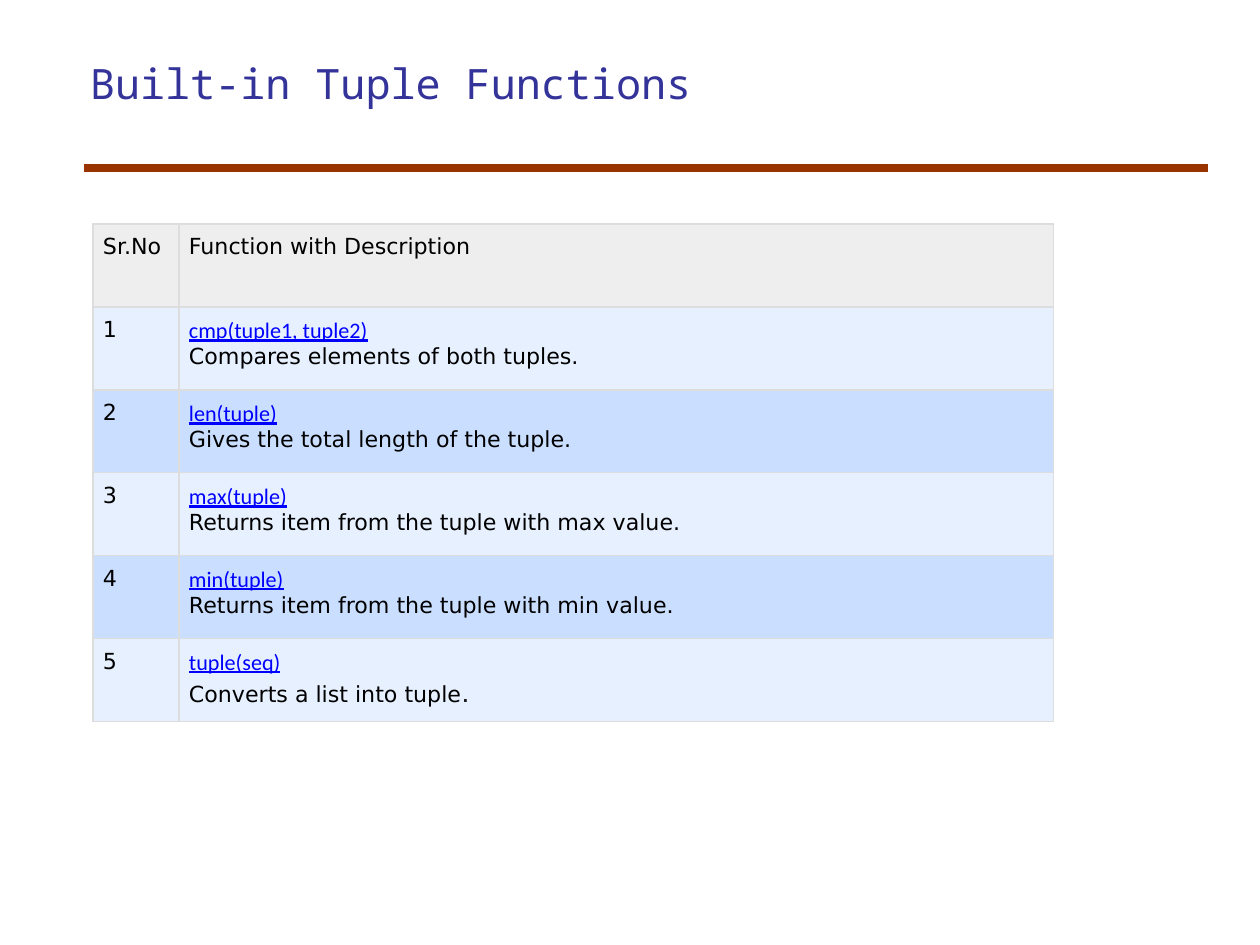
from lxml.etree import SubElement
from pptx import Presentation
from pptx.dml.color import RGBColor
from pptx.enum.shapes import MSO_CONNECTOR
from pptx.enum.text import MSO_ANCHOR
from pptx.oxml.ns import qn
from pptx.util import Pt

PX = 914400 / 88.6
BLACK = RGBColor(0x00, 0x00, 0x00)
LINK_BLUE = RGBColor(0x00, 0x00, 0xFF)
TITLE_BLUE = RGBColor(0x33, 0x33, 0x99)
RULE_BROWN = RGBColor(0x99, 0x33, 0x00)
BORDER_GREY = RGBColor(0xDD, 0xDD, 0xDD)
HEADER_GREY = RGBColor(0xEE, 0xEE, 0xEE)
LIGHT_BAND = RGBColor(0xE6, 0xF0, 0xFF)
DARK_BAND = RGBColor(0xCA, 0xDF, 0xFF)

FUNCTIONS = [
    ("cmp(tuple1, tuple2)", "Compares elements of both tuples."),
    ("len(tuple)", "Gives the total length of the tuple."),
    ("max(tuple)", "Returns item from the tuple with max value."),
    ("min(tuple)", "Returns item from the tuple with min value."),
    ("tuple(seq)", "Converts a list into tuple"),
]
COLUMN_WIDTHS = [86, 875]
ROW_HEIGHT = 83


def px(*lengths):
    """Turn pixel lengths into EMU."""
    return [round(length * PX) for length in lengths]


def add_run(paragraph, text, name="DejaVu Sans", size=18, color=BLACK, underline=False):
    run = paragraph.add_run()
    run.text = text
    for attribute, value in {"name": name, "size": Pt(size), "bold": False,
                             "underline": underline}.items():
        setattr(run.font, attribute, value)
    run.font.color.rgb = color
    return run


presentation = Presentation()
presentation.slide_width, presentation.slide_height = px(1260, 945)
slide = presentation.slides.add_slide(presentation.slide_layouts[6])

# Rule under the title
rule = slide.shapes.add_connector(MSO_CONNECTOR.STRAIGHT, *px(84, 168, 1208, 168))
rule.line.color.rgb = RULE_BROWN
rule.line.width = Pt(6)
SubElement(rule._element.spPr, qn("a:effectLst"))

# Title
title_frame = slide.shapes.add_textbox(*px(84, 52, 1123, 115)).text_frame
title_frame.word_wrap = True
title_frame.vertical_anchor = MSO_ANCHOR.TOP
for side in ("left", "top", "right", "bottom"):
    setattr(title_frame, f"margin_{side}", px(6)[0])
add_run(title_frame.paragraphs[0], "Built-in Tuple Functions",
        "Noto Sans Mono", 34, TITLE_BLUE)

# Function table
row_count = len(FUNCTIONS) + 1
table = slide.shapes.add_table(
    row_count, len(COLUMN_WIDTHS),
    *px(93, 224, sum(COLUMN_WIDTHS), ROW_HEIGHT * row_count)).table
table.first_row = table.horz_banding = False
for column, width in zip(table.columns, px(*COLUMN_WIDTHS)):
    column.width = width

for row_index, row in enumerate(table.rows):
    row.height = px(ROW_HEIGHT)[0]
    if row_index == 0:
        band = HEADER_GREY
    else:
        band = LIGHT_BAND if row_index % 2 else DARK_BAND
    for cell in row.cells:
        for side in ("left", "top", "right", "bottom"):
            setattr(cell, f"margin_{side}", px(10)[0])
        properties = cell._tc.get_or_add_tcPr()
        for edge in ("lnL", "lnR", "lnT", "lnB"):
            border = SubElement(properties, qn(f"a:{edge}"), w=str(Pt(1)))
            border_fill = SubElement(border, qn("a:solidFill"))
            SubElement(border_fill, qn("a:srgbClr"), val=str(BORDER_GREY))
        cell.fill.solid()
        cell.fill.fore_color.rgb = band

for column_index, heading in enumerate(("Sr.No", "Function with Description")):
    add_run(table.cell(0, column_index).text_frame.paragraphs[0], heading)

for number, (signature, description) in enumerate(FUNCTIONS, start=1):
    add_run(table.cell(number, 0).text_frame.paragraphs[0], str(number))
    function_frame = table.cell(number, 1).text_frame
    add_run(function_frame.paragraphs[0], signature, "Calibri", 18, LINK_BLUE, True)
    description_paragraph = function_frame.add_paragraph()
    add_run(description_paragraph, description)

# The last description ends in a larger, slightly transparent full stop
full_stop = add_run(description_paragraph, ".", "Arial", 24)
stop_color = full_stop._r.rPr.find(f".//{qn('a:srgbClr')}")
SubElement(stop_color, qn("a:alpha"), val="87000")

presentation.save("out.pptx")
